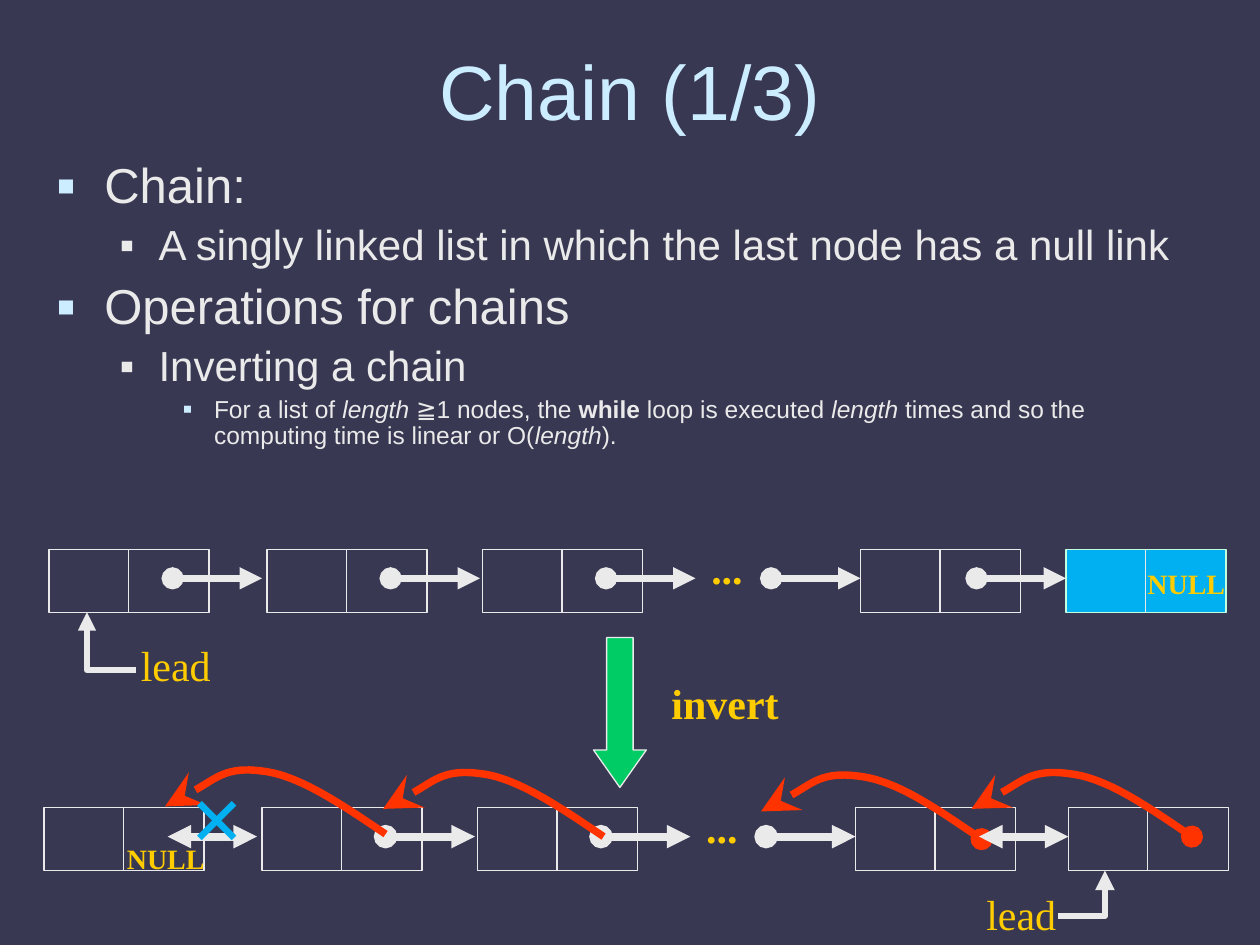
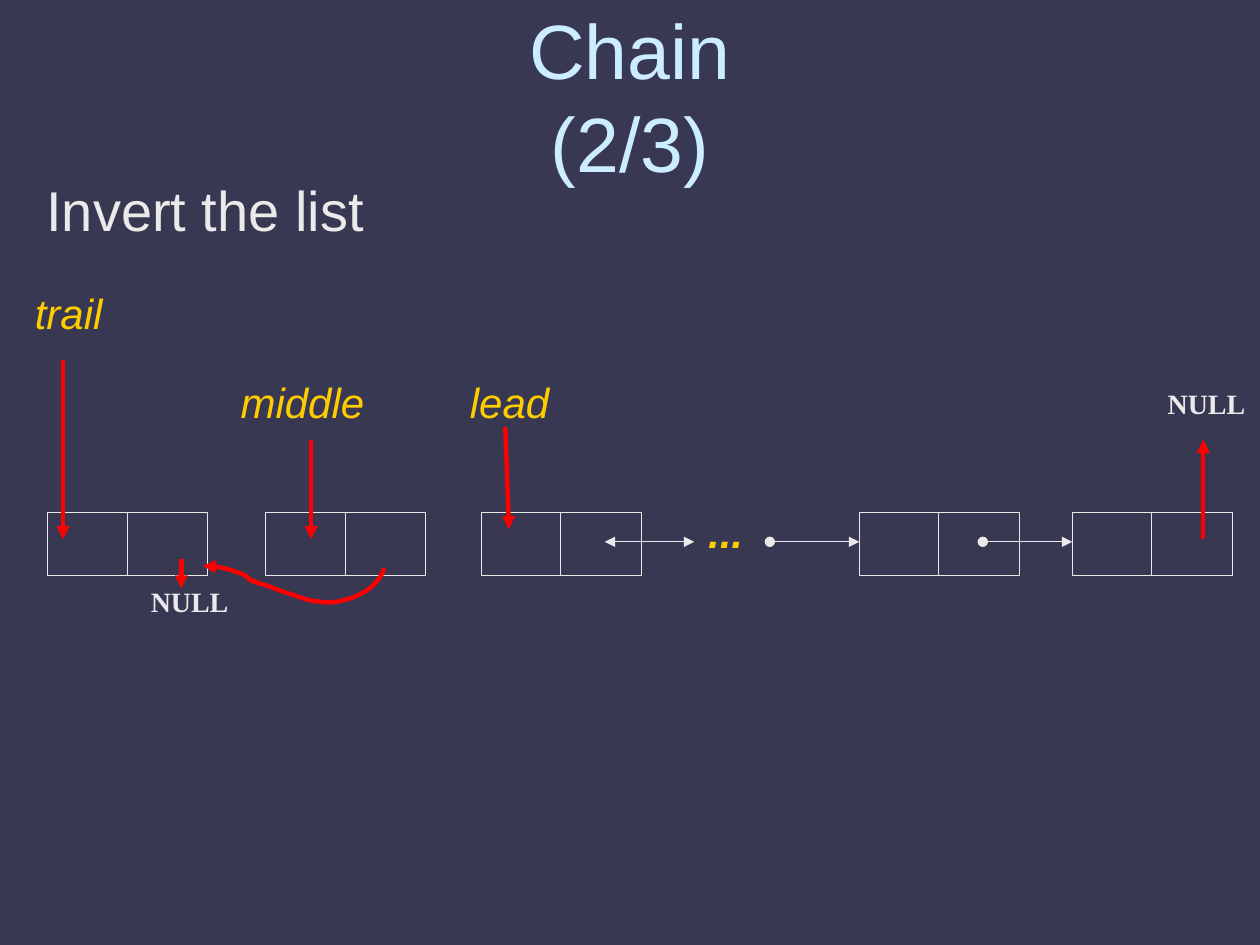
import pptx
import pptx.util
import pptx.dml.color
import pptx.enum.shapes
import pptx.enum.text
import pptx.oxml.ns
import lxml.etree

Inches = pptx.util.Inches
Pt = pptx.util.Pt
RGBColor = pptx.dml.color.RGBColor
SHAPE = pptx.enum.shapes.MSO_SHAPE
ALIGN = pptx.enum.text.PP_ALIGN
ANCHOR = pptx.enum.text.MSO_ANCHOR
AUTO_SIZE = pptx.enum.text.MSO_AUTO_SIZE
qn = pptx.oxml.ns.qn

# Colours
BACKGROUND = RGBColor(0x38, 0x38, 0x53)
PALE_BLUE = RGBColor(0xCC, 0xEC, 0xFF)
LIGHT_GREY = RGBColor(0xEA, 0xEA, 0xEA)
GOLD = RGBColor(0xFF, 0xCC, 0x00)
SKY_BLUE = RGBColor(0x00, 0xB0, 0xF0)
MINT = RGBColor(0xC2, 0xFF, 0xE0)
GREEN = RGBColor(0x00, 0xCC, 0x66)
ORANGE_RED = RGBColor(0xFF, 0x33, 0x00)
RED = RGBColor(0xFF, 0x00, 0x00)

# Text formats
TITLE = {"name": "Arial", "size": Pt(44), "color": PALE_BLUE}
BODY = {"name": "Arial", "color": LIGHT_GREY}
LABEL = {"name": "Times New Roman", "size": Pt(24), "color": GOLD}
BOLD_LABEL = {**LABEL, "bold": True}
POINTER = {"name": "Arial", "size": Pt(24), "color": GOLD, "italic": True}
NULL_GOLD = {**BOLD_LABEL, "size": Pt(16)}
NULL_GREY = {**NULL_GOLD, "color": LIGHT_GREY}
CROSS = {**BOLD_LABEL, "size": Pt(54), "color": SKY_BLUE}
LABEL_FRAME = {"word_wrap": False, "auto_size": AUTO_SIZE.SHAPE_TO_FIT_TEXT,
               "margin_left": Inches(0.05), "margin_right": Inches(0.05)}

# Per level: text size, left margin, hanging indent, space before, bullet colour, bullet size
LEVELS = (
    (28, 0.38, 0.38, 7, PALE_BLUE, 115),
    (24, 0.81, 0.31, 6, LIGHT_GREY, 100),
    (14, 1.25, 0.25, 3.5, PALE_BLUE, 115),
)
BULLETS = (
    (0, [("Chain:", {})]),
    (1, [("A singly linked list in which the last node has a null link", {})]),
    (0, [("Operations for chains", {})]),
    (1, [("Inverting a chain", {})]),
    (2, [("For a list of ", {}), ("length", {"italic": True}),
         (" ≧1 nodes, the ", {}), ("while", {"bold": True}),
         (" loop is executed ", {}), ("length", {"italic": True}),
         (" times and so the computing time is linear or O(", {}),
         ("length", {"italic": True}), (").", {})]),
)

# Chain geometry in inches
NODE_OFFSETS = (0, 1.73, 3.44, 6.44)
NODE_WIDTH, NODE_HEIGHT, DIVIDER = 1.27, 0.5, 0.63
LINK_START, LINK_LENGTH, LINK_DROP = 0.98, 0.71, 0.23
BACK_LINK = ((0, 0), (-0.34, -0.23), (-0.69, -0.47), (-0.98, -0.5),
             (-1.27, -0.54), (-1.62, -0.27), (-1.75, -0.22))


def add_slide(presentation):
    slide = presentation.slides.add_slide(presentation.slide_layouts[6])
    slide.background.fill.solid()
    slide.background.fill.fore_color.rgb = BACKGROUND
    return slide


def add_run(paragraph, text, text_format):
    run = paragraph.add_run()
    run.text = text
    for name, value in text_format.items():
        if name == "color":
            run.font.color.rgb = value
        else:
            setattr(run.font, name, value)


def add_text_box(slide, box, **frame_format):
    shape = slide.shapes.add_textbox(*map(Inches, box))
    for name, value in frame_format.items():
        setattr(shape.text_frame, name, value)
    return shape.text_frame


def add_text(slide, text, box, text_format, align=ALIGN.CENTER, **frame_format):
    frame = add_text_box(slide, box, **frame_format)
    frame.paragraphs[0].alignment = align
    add_run(frame.paragraphs[0], text, text_format)


def add_title(slide, text, box):
    add_text(slide, text, box, TITLE, word_wrap=True, vertical_anchor=ANCHOR.MIDDLE)


def add_label(slide, text, left, top, width, text_format, height=0.5):
    add_text(slide, text, (left, top, width, height), text_format, **LABEL_FRAME)


def set_bullet(paragraph, margin, hanging, color, percent):
    properties = paragraph._p.get_or_add_pPr()
    properties.set("marL", str(Inches(margin)))
    properties.set("indent", str(-Inches(hanging)))
    bullet_color = lxml.etree.SubElement(properties, qn("a:buClr"))
    lxml.etree.SubElement(bullet_color, qn("a:srgbClr"), val=str(color))
    lxml.etree.SubElement(properties, qn("a:buSzPct"), val=str(percent * 1000))
    lxml.etree.SubElement(properties, qn("a:buFont"), typeface="Arial")
    lxml.etree.SubElement(properties, qn("a:buChar"), char="▪")


def add_bullets(slide, bullets, box):
    frame = add_text_box(slide, box, word_wrap=True)
    for index, (level, runs) in enumerate(bullets):
        size, margin, hanging, space, color, percent = LEVELS[level]
        paragraph = frame.add_paragraph() if index else frame.paragraphs[0]
        set_bullet(paragraph, margin, hanging, color, percent)
        paragraph_format = {"level": level, "line_spacing": 0.9,
                            "space_before": Pt(space if index else 0)}
        for name, value in paragraph_format.items():
            setattr(paragraph, name, value)
        for text, emphasis in runs:
            add_run(paragraph, text, {**BODY, "size": Pt(size), **emphasis})


def style_line(shape, color, width, head=None, tail=None):
    shape.line.color.rgb = color
    shape.line.width = Pt(width)
    line = shape.line._get_or_add_ln()
    for tag, kind in (("a:headEnd", head), ("a:tailEnd", tail)):
        if kind:
            size = "lg" if kind == "stealth" else "med"
            lxml.etree.SubElement(line, qn(tag), type=kind, w=size, len=size)


def add_line(slide, start, end, color=LIGHT_GREY, width=0.75, head=None, tail=None):
    connector = slide.shapes.add_connector(
        pptx.enum.shapes.MSO_CONNECTOR.STRAIGHT, *map(Inches, (*start, *end)))
    style_line(connector, color, width, head, tail)
    lxml.etree.SubElement(connector._element.spPr, qn("a:effectLst"))


def add_shape(slide, kind, box, fill=None, line=LIGHT_GREY):
    shape = slide.shapes.add_shape(kind, *map(Inches, box))
    shape.shadow.inherit = False
    if fill is None:
        shape.fill.background()
    else:
        shape.fill.solid()
        shape.fill.fore_color.rgb = fill
    style_line(shape, line, 0.75)
    return shape


def add_outline(slide, points, color, width, head=None, tail=None, curved=False):
    """Draw an open outline; a curved one takes three points per Bezier segment."""
    corners = [(Inches(x), Inches(y)) for x, y in points]
    builder = slide.shapes.build_freeform(*corners[0], scale=1.0)
    builder.add_line_segments(corners[1:], close=False)
    shape = builder.convert_to_shape()
    shape.shadow.inherit = False
    shape.fill.background()
    style_line(shape, color, width, head, tail)
    if curved:
        segments = list(shape._element.iter(qn("a:lnTo")))
        for first in range(0, len(segments), 3):
            curve = lxml.etree.Element(qn("a:cubicBezTo"))
            segments[first].addprevious(curve)
            for segment in segments[first:first + 3]:
                curve.append(segment[0])
                segment.getparent().remove(segment)


def add_node(slide, left, top, fill=None, line=LIGHT_GREY):
    add_shape(slide, SHAPE.RECTANGLE, (left, top, NODE_WIDTH, NODE_HEIGHT), fill, line)
    middle = left + DIVIDER
    add_line(slide, (middle, top), (middle, top + NODE_HEIGHT))


def add_link(slide, left, top, width, head):
    y = top + LINK_DROP
    add_line(slide, (left, y), (left + LINK_LENGTH, y), width=width,
             head=head, tail="triangle")


def add_chain(slide, left, top, last_left, link_width, heads, dots, **last_node):
    """Draw five nodes, the ellipsis and those links that have a head."""
    nodes = [left + offset for offset in NODE_OFFSETS]
    for node in nodes:
        add_node(slide, node, top)
    add_node(slide, last_left, top, **last_node)
    links = [node + LINK_START for node in nodes[:3]]
    links += [node - LINK_LENGTH for node in (nodes[3], last_left)]
    for link, head in zip(links, heads):
        if head:
            add_link(slide, link, top, link_width, head)
    add_label(slide, "...", left + 5.15, top - 0.1, 0.46, dots)


def add_back_link(slide, x, y, head=None):
    points = [(x + dx, y + dy) for dx, dy in BACK_LINK]
    add_outline(slide, points, ORANGE_RED, 4.25, head, "stealth", curved=True)


def build_overview(presentation):
    slide = add_slide(presentation)
    add_title(slide, "Chain (1/3)", (0.51, 0.28, 8.98, 0.87))
    add_bullets(slide, BULLETS, (0.35, 1.23, 9.15, 2.6))

    # Chain before inversion
    add_chain(slide, 0.39, 4.36, 8.46, 4.25, ["oval"] * 5, BOLD_LABEL,
              fill=SKY_BLUE, line=MINT)
    add_label(slide, "NULL", 9.01, 4.45, 0.81, NULL_GOLD, 0.37)
    add_outline(slide, ((0.69, 4.86), (0.69, 5.32), (1.08, 5.32)),
                LIGHT_GREY, 3.5, head="triangle")
    add_label(slide, "lead", 1.02, 5.03, 0.75, LABEL)

    # Inversion step
    arrow = add_shape(slide, SHAPE.DOWN_ARROW, (4.71, 5.06, 0.42, 1.19), GREEN)
    arrow.adjustments[1] = 0.71
    add_label(slide, "invert", 5.23, 5.33, 1.05, BOLD_LABEL)

    # Chain after inversion
    add_chain(slide, 0.35, 6.41, 8.48, 4.5,
              ("triangle", "oval", "oval", "oval", None), BOLD_LABEL)
    for x, y, head in ((3.06, 6.62, None), (4.79, 6.64, None),
                       (9.46, 6.64, "oval"), (7.79, 6.66, "oval")):
        add_back_link(slide, x, y, head)
    add_link(slide, 7.77, 6.41, 4.5, "triangle")
    add_label(slide, "×", 1.41, 5.97, 0.63, CROSS, 1)
    add_label(slide, "NULL", 0.91, 6.63, 0.81, NULL_GOLD, 0.37)
    add_outline(slide, ((8.77, 6.91), (8.77, 7.27), (8.4, 7.27)),
                LIGHT_GREY, 3.75, head="triangle")
    add_label(slide, "lead", 7.73, 7, 0.75, LABEL)


def build_inversion(presentation):
    slide = add_slide(presentation)
    add_title(slide, "Chain (2/3)", (3.42, 0.13, 3.16, 1.25))
    add_text(slide, "Invert the list", (0.27, 1.34, 6.55, 0.64),
             {**BODY, "size": Pt(32)}, ALIGN.LEFT, word_wrap=True)
    add_chain(slide, 0.38, 4.07, 8.51, 0.75,
              (None, None, "triangle", "oval", "oval"), {**POINTER, "bold": True})

    # Pointer names and null links
    for text, left, top, width in (("trail", 0.18, 2.23, 0.73),
                                   ("middle", 1.81, 2.94, 1.18),
                                   ("lead", 3.63, 2.94, 0.83)):
        add_label(slide, text, left, top, width, POINTER)
    for left, top in ((9.17, 3.02), (1.1, 4.59)):
        add_label(slide, "NULL", left, top, 0.81, NULL_GREY, 0.37)

    # Red arrows
    for start, end in (((0.5, 2.86), (0.5, 4.28)), ((2.47, 3.49), (2.47, 4.28)),
                       ((4.01, 3.39), (4.04, 4.2)), ((9.55, 4.28), (9.55, 3.49)),
                       ((1.44, 4.44), (1.44, 4.67))):
        add_line(slide, start, end, RED, 2.5, tail="triangle")
    reversed_link = (
        (3.05, 4.51), (3, 4.66), (2.85, 4.74), (2.7, 4.77),
        (2.62, 4.79), (2.58, 4.78), (2.49, 4.77),
        (2.41, 4.76), (2.34, 4.72), (2.26, 4.7),
        (2.19, 4.68), (2.12, 4.64), (2.05, 4.63),
        (1.98, 4.58), (2.09, 4.65), (2, 4.61),
        (1.94, 4.57), (1.99, 4.59), (1.93, 4.56),
        (1.83, 4.52), (1.72, 4.49), (1.61, 4.49))
    add_outline(slide, reversed_link, RED, 2.5, tail="triangle", curved=True)


def main():
    presentation = pptx.Presentation()
    presentation.slide_width = Inches(10)
    presentation.slide_height = Inches(7.5)
    build_overview(presentation)
    build_inversion(presentation)
    presentation.save("out.pptx")


if __name__ == "__main__":
    main()
